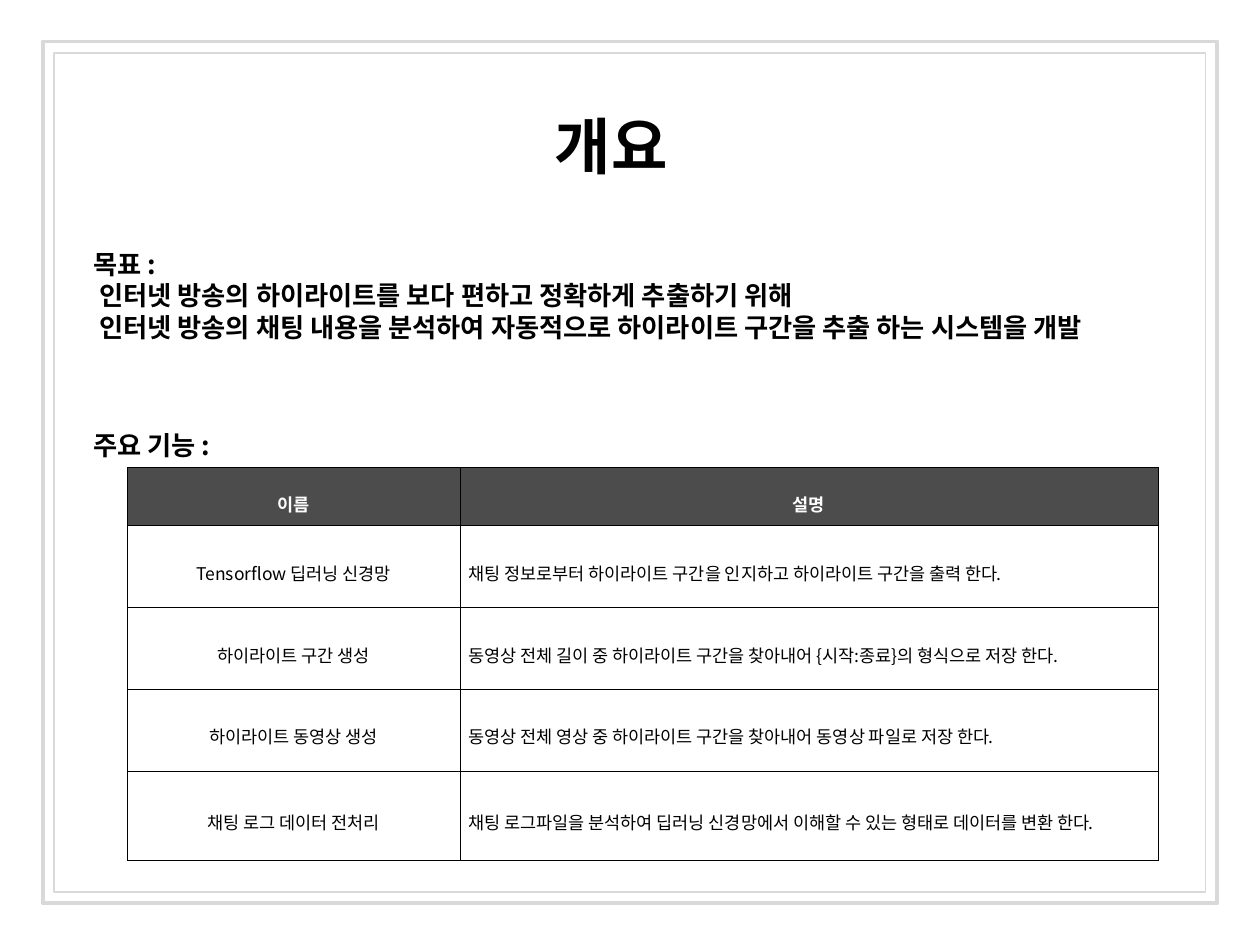
"""Build the overview slide with the project goal and a table of main features."""
import pptx
import pptx.dml.color
import pptx.enum.shapes
import pptx.enum.text
import pptx.oxml
import pptx.oxml.ns
import pptx.util

Inches, Pt = pptx.util.Inches, pptx.util.Pt
ALIGN, ANCHOR = pptx.enum.text.PP_ALIGN, pptx.enum.text.MSO_ANCHOR
BLACK = pptx.dml.color.RGBColor(0x00, 0x00, 0x00)
WHITE = pptx.dml.color.RGBColor(0xFF, 0xFF, 0xFF)
FRAME_GRAY = pptx.dml.color.RGBColor(0xD9, 0xD9, 0xD9)
HEADER_GRAY = pptx.dml.color.RGBColor(0x4C, 0x4C, 0x4C)
FONT = "Noto Sans CJK KR"
DRAWING = pptx.oxml.ns.nsdecls("a")


def format_paragraph(paragraph, size, color, bold):
    for run in paragraph.runs:
        run.font.size = Pt(size)
        run.font.bold = bold
        run.font.color.rgb = color
        run.font.name = FONT
        run.font._element.append(
            pptx.oxml.parse_xml(f'<a:ea {DRAWING} typeface="{FONT}"/>'))


presentation = pptx.Presentation()
presentation.slide_width, presentation.slide_height = Inches(10), Inches(7.5)
slide = presentation.slides.add_slide(presentation.slide_layouts[5])

for left, top, line_width in ((0.43, 0.42, 0.75), (0.34, 0.33, 2.25)):
    frame = slide.shapes.add_shape(
        pptx.enum.shapes.MSO_SHAPE.RECTANGLE, Inches(left), Inches(top),
        presentation.slide_width - Inches(2 * left),
        presentation.slide_height - Inches(2 * top))
    frame.shadow.inherit = False
    frame.fill.background()
    frame.line.color.rgb = FRAME_GRAY
    frame.line.width = Pt(line_width)

title = slide.shapes.title
title.left, title.top = Inches(3.23), Inches(0.76)
title.width, title.height = Inches(3.24), Inches(0.94)
title.line.color.rgb = WHITE
title.line.width = Pt(0.25)
title_frame = title.text_frame
title_frame.text = "개요"
title_frame.auto_size = pptx.enum.text.MSO_AUTO_SIZE.NONE
title_frame.vertical_anchor = ANCHOR.TOP
title_frame.margin_left = title_frame.margin_right = Inches(0.1)
title_frame.margin_top = title_frame.margin_bottom = Inches(0.1)
title_frame.paragraphs[0].alignment = ALIGN.CENTER
format_paragraph(title_frame.paragraphs[0], 35, BLACK, True)

sections = (
    (1.92, 0.86, ("목표 :",
                  "인터넷 방송의 하이라이트를 보다 편하고 정확하게 추출하기 위해",
                  "인터넷 방송의 채팅 내용을 분석하여 자동적으로 하이라이트 구간을 추출 하는 시스템을 개발")),
    (3.36, 0.35, ("주요 기능 :",)),
)
for top, height, lines in sections:
    section = slide.shapes.add_textbox(Inches(0.64), Inches(top), Inches(8.9), Inches(height))
    section.text_frame.word_wrap = True
    section.text_frame.text = "\n".join(lines)
    for index, paragraph in enumerate(section.text_frame.paragraphs):
        if index:
            paragraph._p.get_or_add_pPr().set("marL", str(Inches(0.05)))
        format_paragraph(paragraph, 15, BLACK, True)

features = (
    ("이름", "설명"),
    ("Tensorflow 딥러닝 신경망", "채팅 정보로부터 하이라이트 구간을 인지하고 하이라이트 구간을 출력 한다."),
    ("하이라이트 구간 생성", "동영상 전체 길이 중 하이라이트 구간을 찾아내어 {시작:종료}의 형식으로 저장 한다."),
    ("하이라이트 동영상 생성", "동영상 전체 영상 중 하이라이트 구간을 찾아내어 동영상 파일로 저장 한다."),
    ("채팅 로그 데이터 전처리", "채팅 로그파일을 분석하여 딥러닝 신경망에서 이해할 수 있는 형태로 데이터를 변환 한다."),
)
column_widths = (2.64, 5.54)
row_heights = (0.46, 0.65, 0.65, 0.65, 0.71)
table = slide.shapes.add_table(
    len(features), len(column_widths), Inches(1.01), Inches(3.71),
    Inches(sum(column_widths)), Inches(sum(row_heights))).table
for column, width in zip(table.columns, column_widths):
    column.width = Inches(width)
for row, height in zip(table.rows, row_heights):
    row.height = Inches(height)

for row_index, texts in enumerate(features):
    is_header = row_index == 0
    for column_index, text in enumerate(texts):
        cell = table.cell(row_index, column_index)
        cell.text_frame.text = text
        cell.vertical_anchor = ANCHOR.MIDDLE
        cell.margin_left = cell.margin_right = Inches(0.07)
        cell.margin_top = cell.margin_bottom = Inches(0.02)
        paragraph = cell.text_frame.paragraphs[0]
        paragraph.alignment = ALIGN.CENTER if is_header or column_index == 0 else ALIGN.JUSTIFY
        paragraph.line_spacing = 1.6 if is_header else 1.5
        format_paragraph(paragraph, 10, WHITE if is_header else BLACK, is_header)
        properties = cell._tc.get_or_add_tcPr()
        for side in ("lnL", "lnR", "lnT", "lnB"):
            properties.append(pptx.oxml.parse_xml(
                f'<a:{side} {DRAWING} w="{Pt(0.28)}"><a:solidFill>'
                f'<a:srgbClr val="{BLACK}"/></a:solidFill></a:{side}>'))
        if is_header:
            cell.fill.solid()
            cell.fill.fore_color.rgb = HEADER_GRAY
        else:
            cell.fill.background()

presentation.save("out.pptx")
